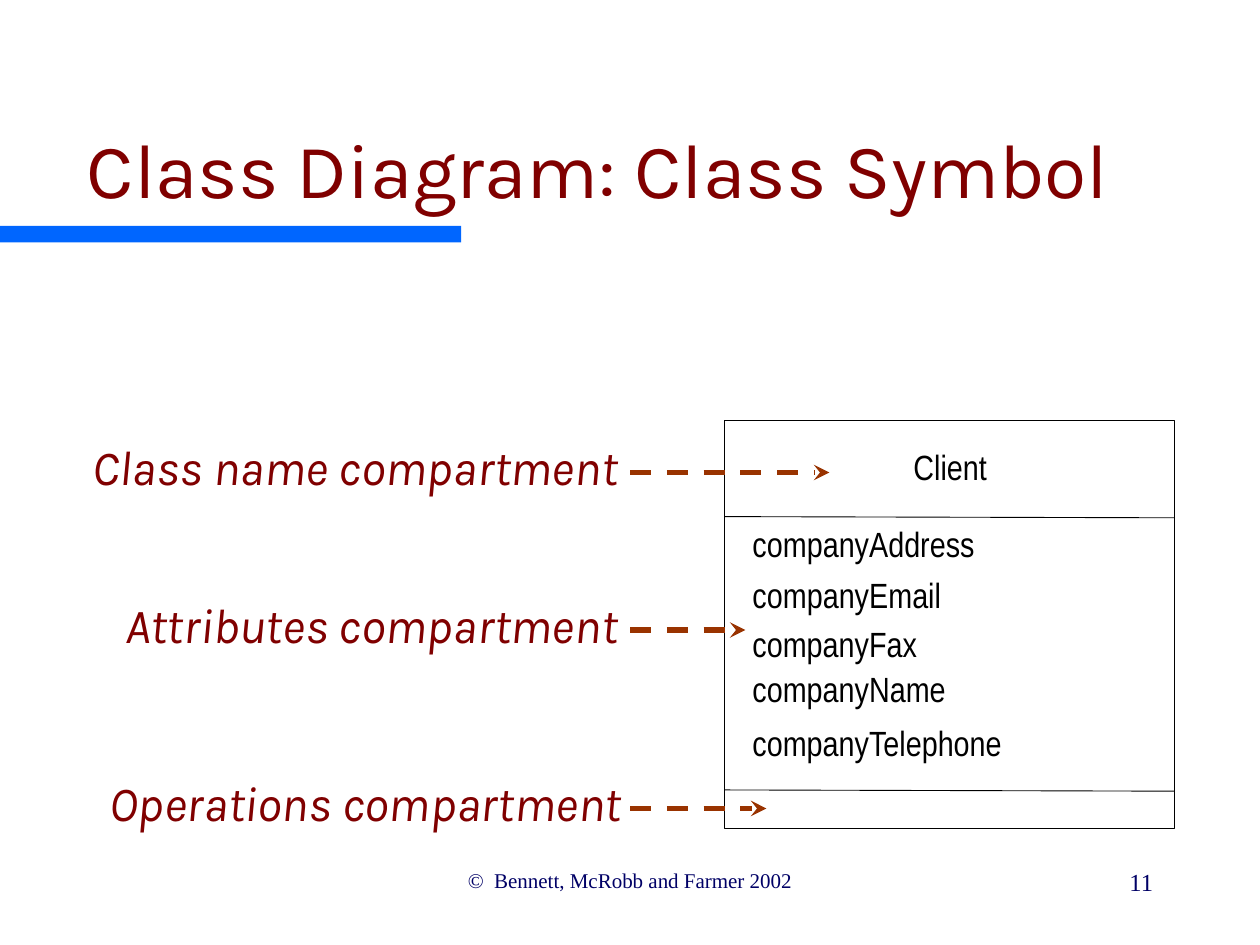
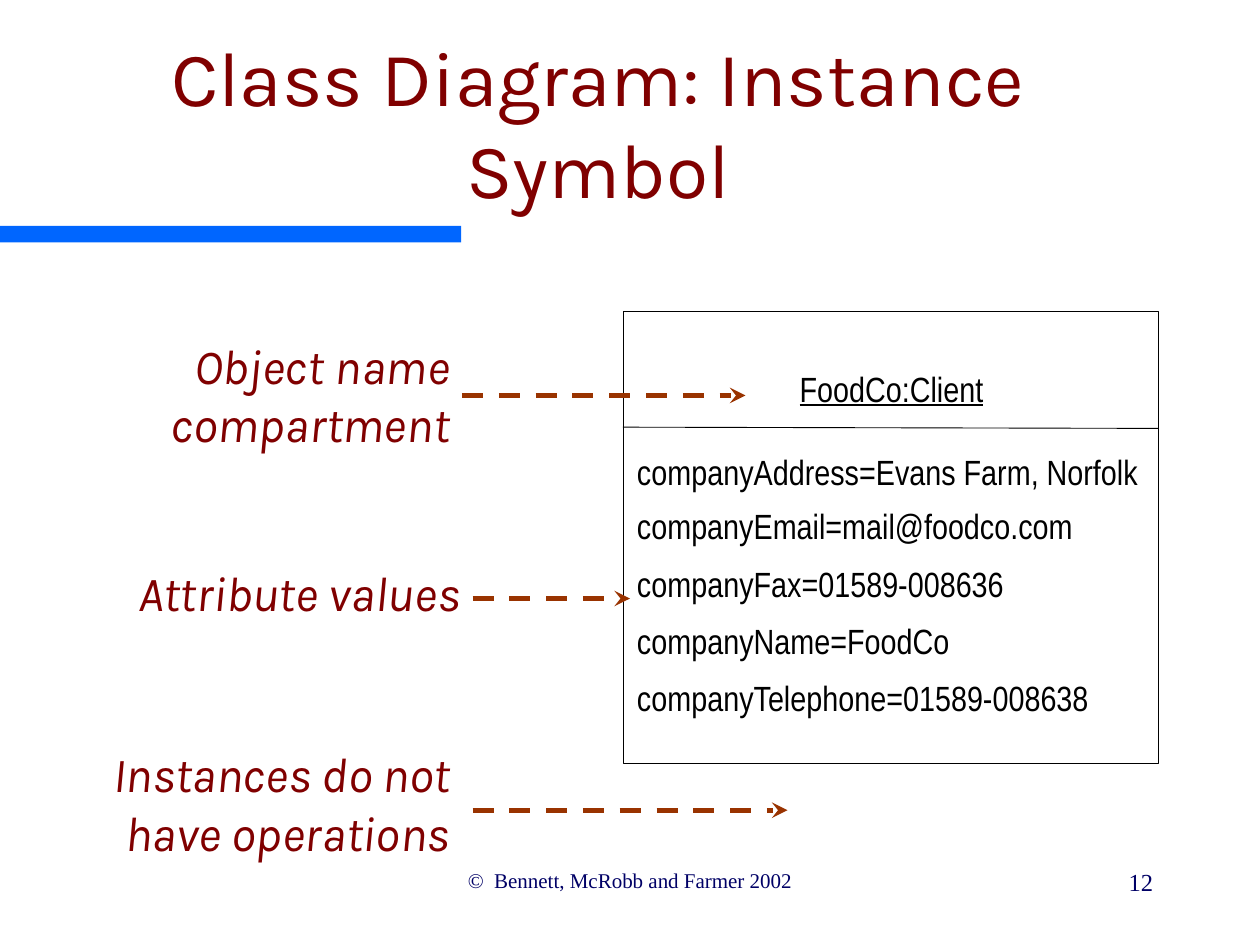
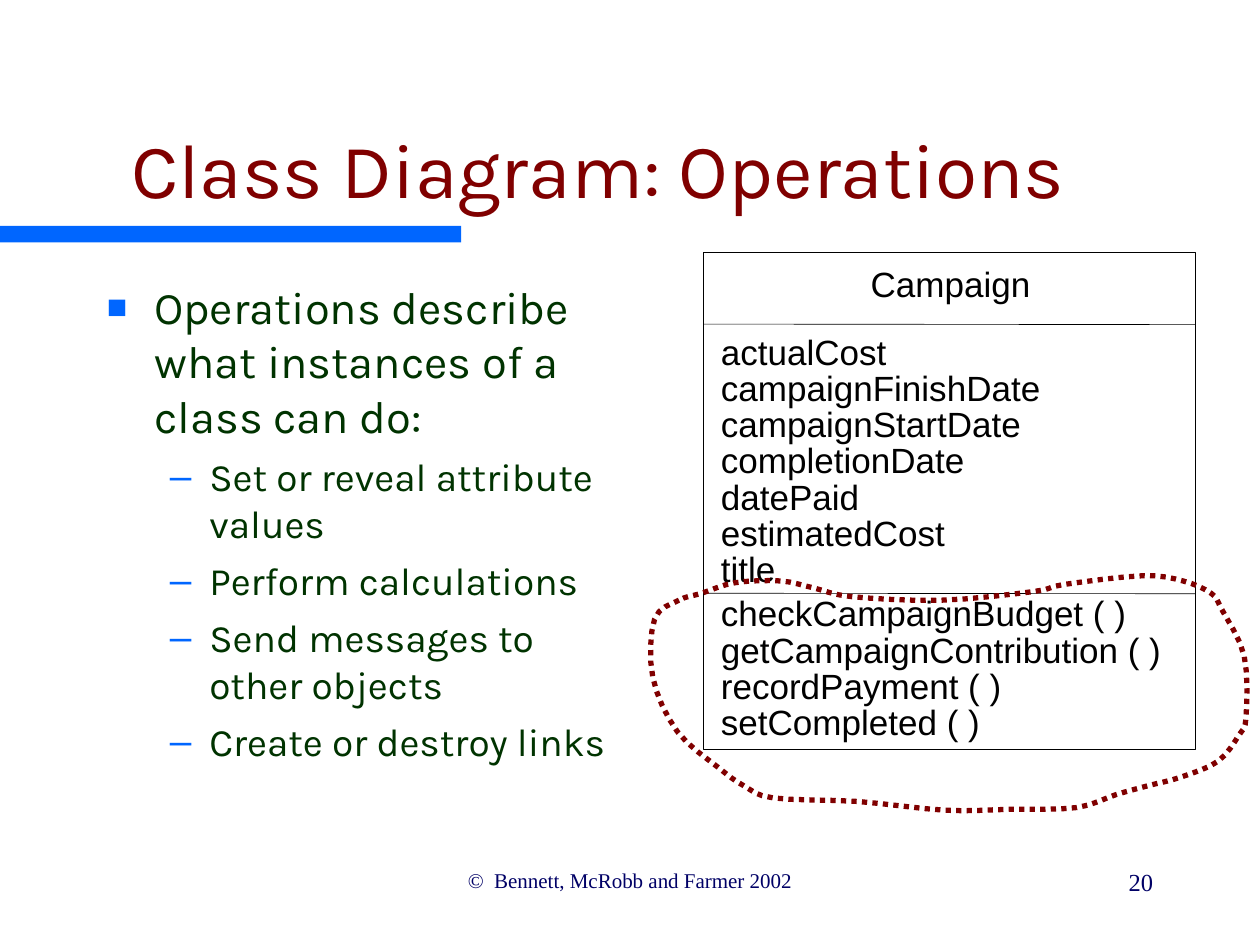
from dataclasses import dataclass

from lxml.etree import SubElement
from pptx import Presentation
from pptx.dml.color import RGBColor
from pptx.enum.dml import MSO_LINE
from pptx.enum.shapes import MSO_CONNECTOR, MSO_SHAPE
from pptx.enum.text import MSO_ANCHOR, PP_ALIGN
from pptx.oxml.ns import qn
from pptx.util import Pt


@dataclass(frozen=True)
class Theme:
    white = RGBColor(0xFF, 0xFF, 0xFF)
    maroon = RGBColor(0x80, 0x00, 0x00)
    blue = RGBColor(0x00, 0x66, 0xFF)
    navy = RGBColor(0x00, 0x00, 0x66)
    green = RGBColor(0x00, 0x33, 0x00)
    brown = RGBColor(0x99, 0x33, 0x00)
    black = RGBColor(0x00, 0x00, 0x00)
    # Text styles: font, size, colour
    title = ("Karla", 44, maroon)
    label = ("Karla", 28, maroon)
    bullet = ("Karla", 25.9, green)
    sub_bullet = ("Karla", 22.2, green)
    footer = ("Times New Roman", 12, navy)
    number = ("Times New Roman", 14, navy)
    narrow = ("Arial Narrow", 20, black)
    wide = ("Arial", 20, black)
    bullet_font = "Arial"


theme = Theme()


def add_text(slide, text, box, style, align=PP_ALIGN.LEFT, wrap=True, inset=True):
    """Add a one-paragraph text box; box is left, top, width, height."""
    shape = slide.shapes.add_textbox(*[Pt(length) for length in box])
    text_frame = shape.text_frame
    text_frame.word_wrap = wrap
    if not inset:
        text_frame.margin_left = text_frame.margin_right = 0
        text_frame.margin_top = text_frame.margin_bottom = 0
    text_frame.text = text
    paragraph = text_frame.paragraphs[0]
    paragraph.alignment = align
    font = paragraph.runs[0].font
    font.name, font.size, font.color.rgb = style[0], Pt(style[1]), style[2]
    return shape


def add_line(slide, left, right, y, color, width, drop=0):
    """Add a line from left to right that may drop slightly."""
    line = slide.shapes.add_connector(
        MSO_CONNECTOR.STRAIGHT, Pt(left), Pt(y), Pt(right), Pt(y + drop))
    line.line.color.rgb = color
    line.line.width = Pt(width)
    SubElement(line._element.spPr, qn("a:effectLst"))
    return line


# Symbols: rows are (text, top, width); labels are (text, left, top, width, height);
# arrows are (left, right, y)
diagrams = [
    {
        "title": "Class Diagram: Class Symbol", "number": "11",
        "panel": (0, 172, 720, 317),
        "box": (414, 240, 257, 233.5), "style": theme.narrow, "outline": 0.5,
        "name": ("Client", 522, 254.5, 44), "underline": False,
        "dividers": [295.2, 451.4], "drop": 0.7, "row_left": 430,
        "rows": [("companyAddress", 298.5, 129), ("companyEmail", 327.5, 110),
                 ("companyFax", 355.5, 97), ("companyName", 381.5, 113),
                 ("companyTelephone", 412.5, 147)],
        "labels": [("Class name compartment", 28, 246, 332, 41),
                   ("Attributes compartment", 49, 336, 311, 41),
                   ("Operations compartment", 33, 438, 329, 41)],
        "wrap_labels": False,
        "arrows": [(360, 474, 270), (360, 426, 360), (360, 438, 462)],
    },
    {
        "title": "Class Diagram: Instance Symbol", "number": "12",
        "panel": (0, 172, 720, 323),
        "box": (356, 178, 306, 258.5), "style": theme.narrow, "outline": 0.5,
        "name": ("FoodCo:Client", 457, 210, 108), "underline": True,
        "dividers": [244.1], "drop": 0.7, "row_left": 364,
        "rows": [("companyAddress=Evans Farm, Norfolk", 257.5, 289),
                 ("companyEmail=mail@foodco.com", 288, 252),
                 ("companyFax=01589-008636", 321.5, 212),
                 ("companyName=FoodCo", 354, 181),
                 ("companyTelephone=01589-008638", 386.5, 262)],
        "labels": [("Object name compartment", 18, 188, 246, 75),
                   ("Attribute values", 24, 318, 246, 41),
                   ("Instances do not have operations", 0, 421.5, 264, 75)],
        "wrap_labels": True,
        "arrows": [(264, 426, 226), (270, 360, 342), (270, 450, 463)],
    },
    {
        "title": "Class Diagram: Operations", "number": "20",
        "panel": (367, 132.5, 353, 355.5),
        "box": (402, 144, 281, 284), "style": theme.wide, "outline": 0.37,
        "name": ("Campaign", 497.5, 150, 93), "underline": False,
        "dividers": [185.2, 339], "drop": 0.3, "row_left": 412,
        "rows": [(text, first + step * 20.75, width)
                 for first, members in [
                     (188.6, [("actualCost", 97), ("campaignFinishDate", 185),
                              ("campaignStartDate", 174), ("completionDate", 142),
                              ("datePaid", 82), ("estimatedCost", 131), ("title", 34)]),
                     (338.2, [("checkCampaignBudget ( )", 234),
                              ("getCampaignContribution ( )", 254),
                              ("recordPayment ( )", 163), ("setCompleted ( )", 151)])]
                 for step, (text, width) in enumerate(members)],
        "labels": [], "wrap_labels": False, "arrows": [],
    },
]

presentation = Presentation()
presentation.slide_width, presentation.slide_height = Pt(720), Pt(540)

for diagram in diagrams:
    slide = presentation.slides.add_slide(presentation.slide_layouts[6])

    # Blue band and white diagram panel
    for box, color in [((0, 129, 263.5, 9.5), theme.blue), (diagram["panel"], theme.white)]:
        block = slide.shapes.add_shape(
            MSO_SHAPE.RECTANGLE, *[Pt(length) for length in box])
        block.shadow.inherit = False
        block.fill.solid()
        block.fill.fore_color.rgb = color
        block.line.fill.background()

    # Footer, number and title
    add_text(slide, "©  Bennett, McRobb and Farmer 2002", (186, 492, 348, 36),
             theme.footer, PP_ALIGN.CENTER)
    add_text(slide, diagram["number"], (516, 492, 150, 36), theme.number, PP_ALIGN.RIGHT)
    title = add_text(slide, diagram["title"], (18, 36, 648, 90), theme.title, PP_ALIGN.CENTER)
    title.text_frame.vertical_anchor = MSO_ANCHOR.BOTTOM

    # Class or instance box with its dividers
    left, top, width, height = diagram["box"]
    symbol = slide.shapes.add_shape(
        MSO_SHAPE.RECTANGLE, Pt(left), Pt(top), Pt(width), Pt(height))
    symbol.shadow.inherit = False
    symbol.fill.background()
    symbol.line.color.rgb = theme.black
    symbol.line.width = Pt(diagram["outline"])
    for y in diagram["dividers"]:
        add_line(slide, left, left + width, y, theme.black, diagram["outline"], diagram["drop"])

    # Name and members
    text, left, top, width = diagram["name"]
    name = add_text(slide, text, (left, top, width, 24), diagram["style"],
                    wrap=False, inset=False)
    if diagram["underline"]:
        name.text_frame.paragraphs[0].runs[0].font.underline = True
    for text, top, width in diagram["rows"]:
        add_text(slide, text, (diagram["row_left"], top, width, 24), diagram["style"],
                 wrap=False, inset=False)

    # Compartment labels and arrows
    for text, *box in diagram["labels"]:
        label = add_text(slide, text, box, theme.label, PP_ALIGN.RIGHT, diagram["wrap_labels"])
        label.text_frame.paragraphs[0].runs[0].font.italic = True
    for left, right, y in diagram["arrows"]:
        arrow = add_line(slide, left, right, y, theme.brown, 3)
        arrow.line.dash_style = MSO_LINE.DASH
        SubElement(arrow.line._get_or_add_ln(), qn("a:tailEnd"), type="stealth")

# Bullets beside the operations symbol, on the last slide
bullets = [
    (0, "Operations describe what instances of a class can do:"),
    (1, "Set or reveal attribute values"),
    (1, "Perform calculations"),
    (1, "Send messages to other objects"),
    (1, "Create or destroy links"),
]
# Per level: style, space before, left margin, indent, size percentage, bullet
levels = [(theme.bullet, 7, 27, -27, 75, "■"),
          (theme.sub_bullet, 6, 58.5, -22.5, 100, "–")]
body = add_text(slide, bullets[0][1], (54, 156, 312, 324), theme.bullet)
for index, (level, text) in enumerate(bullets):
    paragraph = body.text_frame.paragraphs[0] if index == 0 else body.text_frame.add_paragraph()
    (font_name, size, color), space, margin, indent, percent, character = levels[level]
    paragraph.text = text
    paragraph.level = level
    paragraph.space_before = Pt(space)
    font = paragraph.runs[0].font
    font.name, font.size, font.color.rgb = font_name, Pt(size), color
    properties = paragraph._p.get_or_add_pPr()
    properties.set("marL", str(Pt(margin)))
    properties.set("indent", str(Pt(indent)))
    bullet_color = SubElement(properties, qn("a:buClr"))
    SubElement(bullet_color, qn("a:srgbClr"), val=str(theme.blue))
    SubElement(properties, qn("a:buSzPct"), val=str(percent * 1000))
    SubElement(properties, qn("a:buFont"), typeface=theme.bullet_font)
    SubElement(properties, qn("a:buChar"), char=character)

# Dotted loop around the operations, smoothed through its anchors
anchors = [
    (388, 343), (374, 354), (373, 387), (387, 418), (411, 439), (425, 449), (442, 456),
    (490, 458), (540, 463), (577, 462.5), (615, 461.5), (638, 454), (656, 449), (675, 444),
    (696, 435), (708, 420), (712, 410), (711, 375), (698, 348), (692, 339), (676, 332),
    (653, 329), (608, 334), (591, 338), (538, 343), (487, 341), (465, 336), (446, 332),
    (420, 333), (401, 339),
]
curve = []
for index in range(len(anchors)):
    neighbours = [anchors[(index + shift) % len(anchors)] for shift in (-1, 0, 1, 2)]
    for t in (0, 0.25, 0.5, 0.75):
        curve.append([
            Pt(b + t * (c - a) / 2 + t ** 2 * (2 * a - 5 * b + 4 * c - d) / 2
               + t ** 3 * (3 * b - a - 3 * c + d) / 2)
            for a, b, c, d in zip(*neighbours)])
builder = slide.shapes.build_freeform(*curve[0])
builder.add_line_segments(curve[1:], close=True)
loop = builder.convert_to_shape()
loop.shadow.inherit = False
loop.fill.background()
loop.line.color.rgb = theme.maroon
loop.line.width = Pt(3)
loop.line.dash_style = MSO_LINE.ROUND_DOT

presentation.save("out.pptx")
